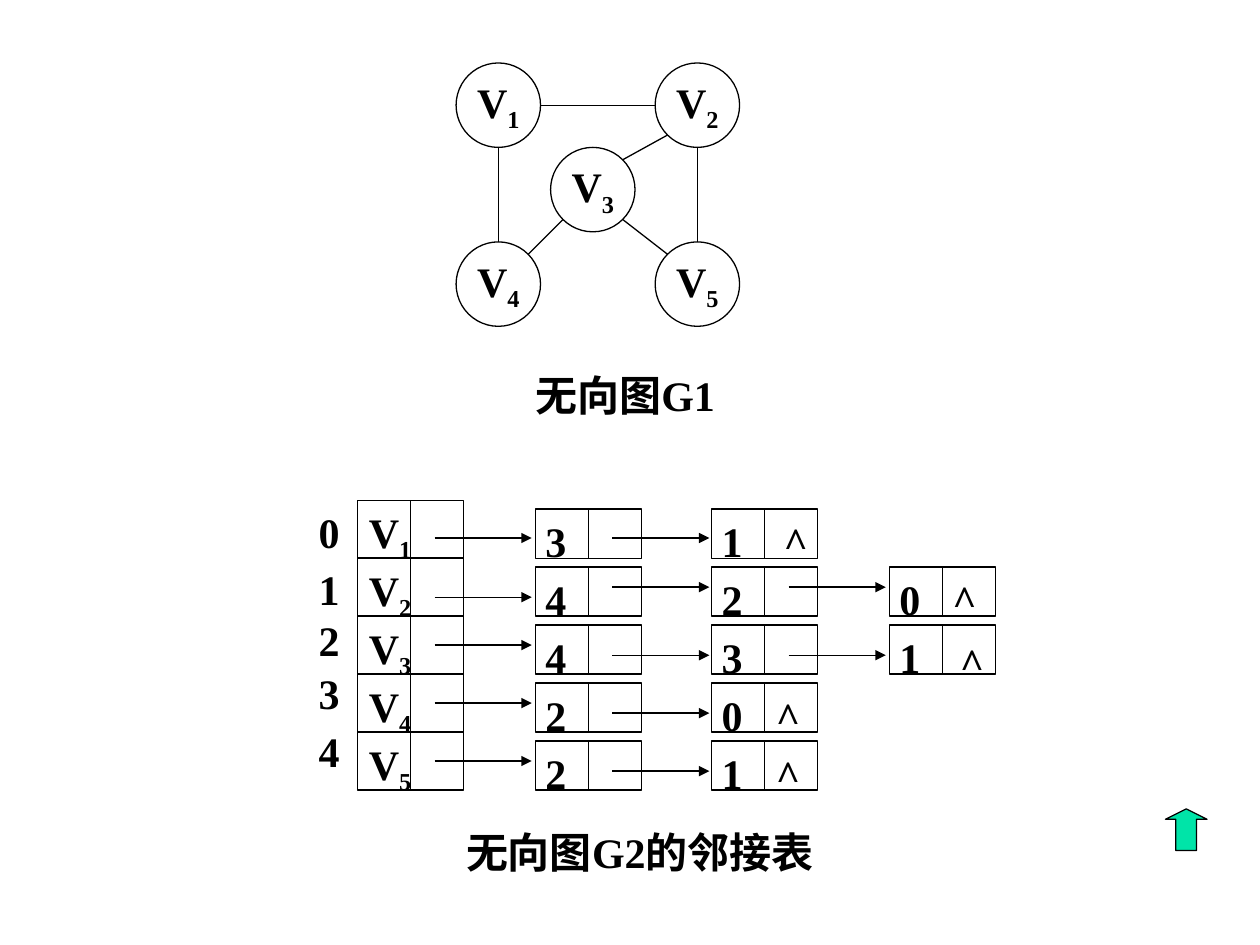
from math import hypot

from lxml import etree
from pptx import Presentation
from pptx.dml.color import RGBColor
from pptx.enum.shapes import MSO_CONNECTOR, MSO_SHAPE
from pptx.enum.text import MSO_ANCHOR, MSO_AUTO_SIZE, PP_ALIGN
from pptx.oxml.ns import qn
from pptx.util import Inches, Pt

STRAIGHT = MSO_CONNECTOR.STRAIGHT
RECTANGLE = MSO_SHAPE.RECTANGLE
OVAL = MSO_SHAPE.OVAL
UP_ARROW = MSO_SHAPE.UP_ARROW
MIDDLE = MSO_ANCHOR.MIDDLE
CENTER = PP_ALIGN.CENTER
FIT_TEXT = MSO_AUTO_SIZE.SHAPE_TO_FIT_TEXT

COLORS = {"ink": "000000", "arrow": "00E4A8"}

DIAMETER = 0.67
VERTICES = {
    "1": (3.62, 0.5),
    "2": (5.2, 0.5),
    "3": (4.37, 1.17),
    "4": (3.62, 1.92),
    "5": (5.2, 1.92),
}
EDGES = [
    ("1", "2", (1, 0)),
    ("1", "4", (0, 1)),
    ("2", "5", (0, 1)),
    ("2", "3", (-1, 1)),
    ("3", "4", (-1, 1)),
    ("3", "5", (1, 1)),
]

COLUMN_LEFTS = (2.84, 4.25, 5.65, 7.06)
ROW_PITCH = 0.46
HEAD_TOP, HEAD_HEIGHT = 3.97, 0.46
NODE_TOP, NODE_HEIGHT = 4.04, 0.39
ADJACENCY = [
    {"index_top": 3.97, "nodes": "31", "arrows": (4.27, 4.27), "caret": (6.12, 4.04)},
    {"index_top": 4.42, "nodes": "420", "arrows": (4.74, 4.66, 4.66), "caret": (7.46, 4.5)},
    {"index_top": 4.83, "nodes": "431", "arrows": (5.12, 5.2, 5.2), "caret": (7.52, 5)},
    {"index_top": 5.25, "nodes": "20", "arrows": (5.58, 5.66), "caret": (6.06, 5.43)},
    {"index_top": 5.71, "nodes": "21", "arrows": (6.04, 6.12), "caret": (6.06, 5.89)},
]


class SlideBuilder:
    font_name = "Times New Roman"
    font_size = Pt(24)
    line_width = Pt(0.75)

    def __init__(self, slide):
        self.slide = slide

    def color(self, name):
        return RGBColor.from_string(COLORS[name])

    def shape(self, kind, left, top, width, height, fill=None):
        shape = self.slide.shapes.add_shape(
            kind, Inches(left), Inches(top), Inches(width), Inches(height))
        shape.shadow.inherit = False
        if fill:
            shape.fill.solid()
            shape.fill.fore_color.rgb = self.color(fill)
        else:
            shape.fill.background()
        shape.line.color.rgb = self.color("ink")
        shape.line.width = self.line_width
        return shape

    def line(self, start, end, arrow=False):
        connector = self.slide.shapes.add_connector(
            STRAIGHT, *[Inches(value) for value in (*start, *end)])
        connector.line.color.rgb = self.color("ink")
        connector.line.width = self.line_width
        properties = connector._element.spPr
        if arrow:
            outline = properties.get_or_add_ln()
            etree.SubElement(outline, qn("a:tailEnd"), type="triangle")
        etree.SubElement(properties, qn("a:effectLst"))

    def add_runs(self, paragraph, text, subscript=""):
        for part in filter(None, (text, subscript)):
            run = paragraph.add_run()
            run.text = part
            run.font.name = self.font_name
            run.font.size = self.font_size
            run.font.bold = True
            run.font.color.rgb = self.color("ink")
        if subscript:
            run._r.get_or_add_rPr().set("baseline", "-25000")

    def label(self, left, top, width, text, subscript="", height=0.5):
        box = self.slide.shapes.add_textbox(
            Inches(left), Inches(top), Inches(width), Inches(height))
        box.text_frame.word_wrap = False
        box.text_frame.auto_size = FIT_TEXT
        self.add_runs(box.text_frame.paragraphs[0], text, subscript)

    def vertex(self, number):
        shape = self.shape(OVAL, *VERTICES[number], DIAMETER, DIAMETER)
        frame = shape.text_frame
        frame.word_wrap = False
        frame.vertical_anchor = MIDDLE
        paragraph = frame.paragraphs[0]
        paragraph.alignment = CENTER
        self.add_runs(paragraph, "V", number)

    def rim_point(self, number, direction, sign):
        radius = DIAMETER / 2
        scale = sign * radius / hypot(*direction)
        return [corner + radius + scale * step
                for corner, step in zip(VERTICES[number], direction)]

    def edge(self, first, second, direction):
        self.line(self.rim_point(first, direction, 1),
                  self.rim_point(second, direction, -1))

    def cell(self, left, top, height):
        self.shape(RECTANGLE, left, top, 0.84, height)
        self.line((left + 0.42, top), (left + 0.42, top + height))

    def adjacency_row(self, number, row):
        self.label(2.43, row["index_top"], 0.36, str(number))
        head_left, *node_lefts = COLUMN_LEFTS
        head_top = HEAD_TOP + number * ROW_PITCH
        self.cell(head_left, head_top, HEAD_HEIGHT)
        self.label(head_left - 0.01, head_top, 0.54, "V", str(number + 1), height=0.56)
        node_top = NODE_TOP + number * ROW_PITCH
        for left, value in zip(node_lefts, row["nodes"]):
            self.cell(left, node_top, NODE_HEIGHT)
            self.label(left - 0.02, node_top, 0.36, value)
        for left, height in zip(COLUMN_LEFTS, row["arrows"]):
            self.line((left + 0.61, height), (left + 1.38, height), arrow=True)
        self.label(*row["caret"], 0.39, "^")


def main():
    presentation = Presentation()
    presentation.slide_width = Inches(10)
    presentation.slide_height = Inches(7.5)
    slide = presentation.slides.add_slide(presentation.slide_layouts[6])
    builder = SlideBuilder(slide)

    for number, row in enumerate(ADJACENCY):
        builder.adjacency_row(number, row)
    builder.label(3.6, 6.51, 3.12, "无向图G2的邻接表")

    for number in VERTICES:
        builder.vertex(number)
    for edge in EDGES:
        builder.edge(*edge)
    builder.label(4.15, 2.88, 1.7, "无向图G1")

    arrow = builder.shape(UP_ARROW, 9.25, 6.42, 0.33, 0.33, fill="arrow")
    arrow.adjustments[0] = 0.5
    arrow.adjustments[1] = 0.25

    presentation.save("out.pptx")


if __name__ == "__main__":
    main()
